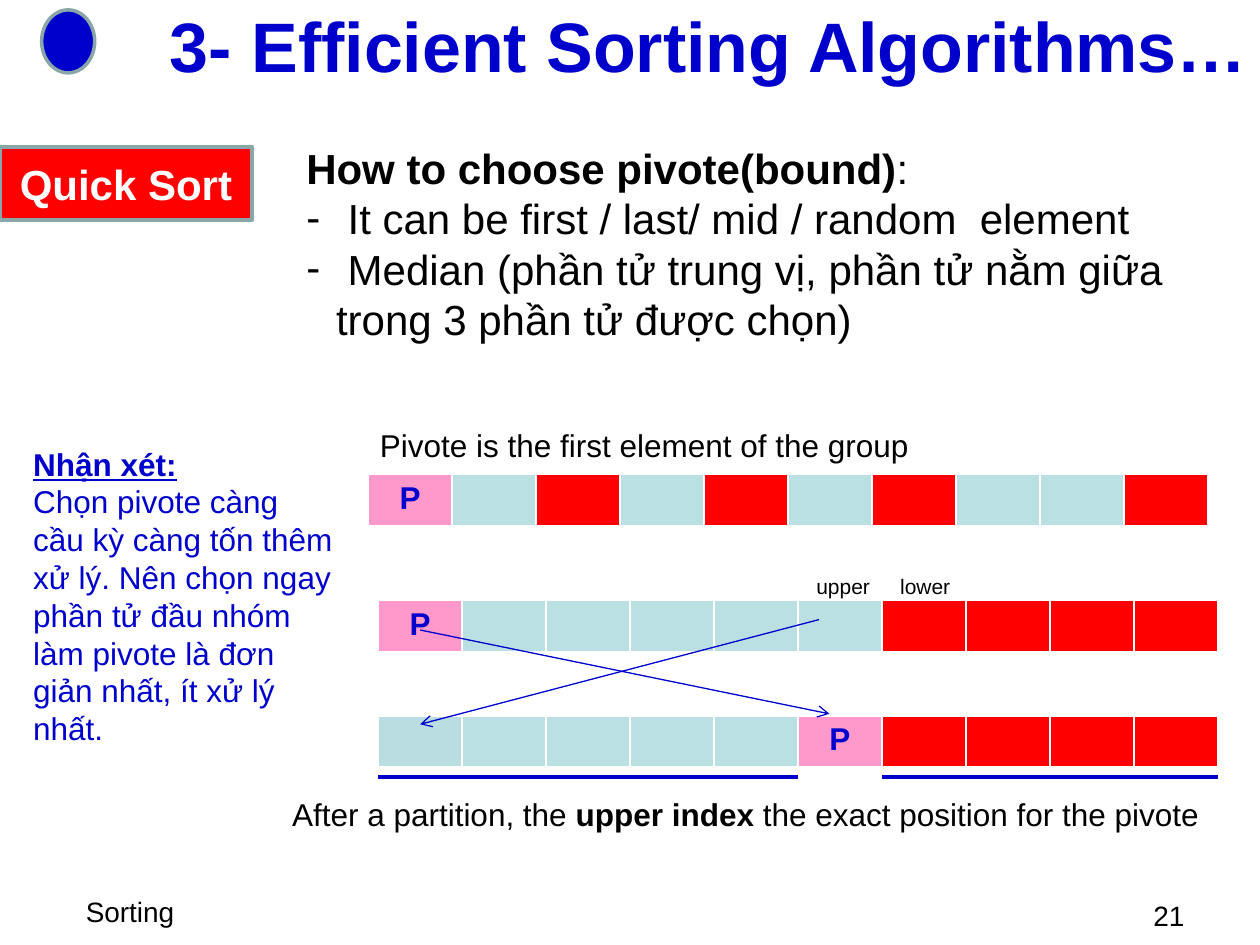
from lxml.etree import SubElement
from pptx import Presentation
from pptx.dml.color import RGBColor
from pptx.enum.shapes import MSO_CONNECTOR as Link, MSO_SHAPE as Preset
from pptx.enum.text import MSO_ANCHOR as Anchor, MSO_AUTO_SIZE as Fit, PP_ALIGN as Align
from pptx.oxml.ns import qn
from pptx.util import Cm, Pt

rgb = RGBColor.from_string
BLUE, RED, PALE, PINK, GREY = "0000CC", "FF0000", "BBE0E3", "FF99CC", "8AA6A8"


def style(frame, size, color="000000", bold=False, align=Align.LEFT):
    frame.word_wrap = True
    frame.auto_size = Fit.NONE
    for paragraph in frame.paragraphs:
        paragraph.alignment = align
        paragraph.space_before = Pt(0)
        for run in paragraph.runs:
            run.font.name = "Arial"
            run.font.size = Pt(size)
            run.font.bold = bold
            run.font.color.rgb = rgb(color)


def connect(x1, y1, x2, y2, width, arrow=False):
    link = slide.shapes.add_connector(Link.STRAIGHT, Cm(x1), Cm(y1), Cm(x2), Cm(y2))
    link.line.color.rgb = rgb(BLUE)
    link.line.width = Pt(width)
    if arrow:
        SubElement(link.line._get_or_add_ln(), qn("a:tailEnd"), type="arrow")
    SubElement(link._element.spPr, qn("a:effectLst"))


deck = Presentation()
deck.slide_width, deck.slide_height = Cm(25.4), Cm(19.05)
slide = deck.slides.add_slide(deck.slide_layouts[1])

title, advice = slide.placeholders
title.left, title.top, title.width, title.height = Cm(1.27), Cm(0), Cm(24.13), Cm(1.78)
title.text_frame.text = "3- Efficient Sorting Algorithms…"
title.text_frame.vertical_anchor = Anchor.MIDDLE
style(title.text_frame, 40, BLUE, True, Align.RIGHT)

advice.left, advice.top, advice.width, advice.height = Cm(5.92), Cm(2.74), Cm(18.21), Cm(4.37)
advice.text_frame.text = (
    "How to choose pivote(bound)\n"
    " It can be first / last/ mid / random  element\n"
    " Median (phần tử trung vị, phần tử nằm giữa trong 3 phần tử được chọn)"
)
question, *choices = advice.text_frame.paragraphs
question.add_run().text = ":"
style(advice.text_frame, 24)
question.runs[0].font.bold = True
properties = question._p.get_or_add_pPr()
properties.set("marL", "0")
properties.set("indent", "0")
SubElement(properties, qn("a:buNone"))
for choice in choices:
    properties = choice._p.get_or_add_pPr()
    properties.set("marL", str(Cm(0.6)))
    properties.set("indent", str(-Cm(0.6)))
    SubElement(properties, qn("a:buChar"), char="-")

emblem = slide.shapes.add_shape(Preset.OVAL, Cm(0.84), Cm(0.2), Cm(1.07), Cm(1.27))
topic = slide.shapes.add_shape(Preset.RECTANGLE, Cm(0), Cm(2.96), Cm(5.08), Cm(1.48))
for badge, color in ((emblem, BLUE), (topic, RED)):
    badge.shadow.inherit = False
    badge.fill.solid()
    badge.fill.fore_color.rgb = rgb(color)
    badge.line.color.rgb = rgb(GREY)
    badge.line.width = Pt(2)
topic.text_frame.text = "Quick Sort"
topic.text_frame.vertical_anchor = Anchor.MIDDLE
style(topic.text_frame, 24, "FFFFFF", True, Align.CENTER)

CELL = 16.93 / 10
LEFT = 7.62
fills = {"P": PINK, "L": PALE, "M": "BADDE1", "H": RED}
stages = (
    (7.42, 9.56, "PLHLHLHLLH"),
    (LEFT, 12.1, "PLLLLLHHHH"),
    (LEFT, 14.43, "MLLLLPHHHH"),
)
for left, top, marks in stages:
    array = slide.shapes.add_table(1, len(marks), Cm(left), Cm(top), Cm(16.93), Cm(1.03)).table
    for column, cell, mark in zip(array.columns, array.rows[0].cells, marks):
        column.width = Cm(CELL)
        cell.fill.solid()
        cell.fill.fore_color.rgb = rgb(fills[mark])
        if mark == "P":
            cell.text_frame.text = mark
            style(cell.text_frame, 18, BLUE, True, Align.CENTER)

labels = (
    (1.48, 17.91, 14.39, 0.93, "Sorting", 16, Align.LEFT),
    (22.23, 17.99, 1.9, 0.85, " 21", 16, Align.RIGHT),
    (16.09, 11.43, 1.9, 0.76, " upper", 12, Align.LEFT),
    (17.78, 11.43, 2.54, 0.76, " lower", 12, Align.LEFT),
    (7.41, 8.47, 14.39, 1.03, "Pivote is the first element of the group", 18, Align.LEFT),
)
for left, top, width, height, words, size, align in labels:
    label = slide.shapes.add_textbox(Cm(left), Cm(top), Cm(width), Cm(height))
    label.text_frame.text = words
    style(label.text_frame, size, align=align)

conclusion = slide.shapes.add_textbox(Cm(5.08), Cm(15.9), Cm(19.9), Cm(1.03)).text_frame
conclusion.text = "After a partition, the "
for words in ("upper index", " the exact position for the pivote"):
    conclusion.paragraphs[0].add_run().text = words
style(conclusion, 18, align=Align.CENTER)
conclusion.paragraphs[0].runs[1].font.bold = True

remark = slide.shapes.add_textbox(Cm(0.42), Cm(8.84), Cm(6.56), Cm(6.41)).text_frame
remark.text = (
    "Nhận xét:\n"
    "Chọn pivote càng cầu kỳ càng tốn thêm xử lý. Nên chọn ngay "
    "phần tử đầu nhóm làm pivote là đơn giản nhất, ít xử lý nhất."
)
style(remark, 18, BLUE)
heading = remark.paragraphs[0].runs[0].font
heading.bold = heading.underline = True

connect(8.47, 12.7, 16.72, 14.39, 0.75, arrow=True)
connect(16.51, 12.49, 8.47, 14.6, 0.75, arrow=True)
for first, last in ((0, 5), (6, 10)):
    connect(LEFT + first * CELL, 15.66, LEFT + last * CELL, 15.66, 2.25)

deck.save("out.pptx")
